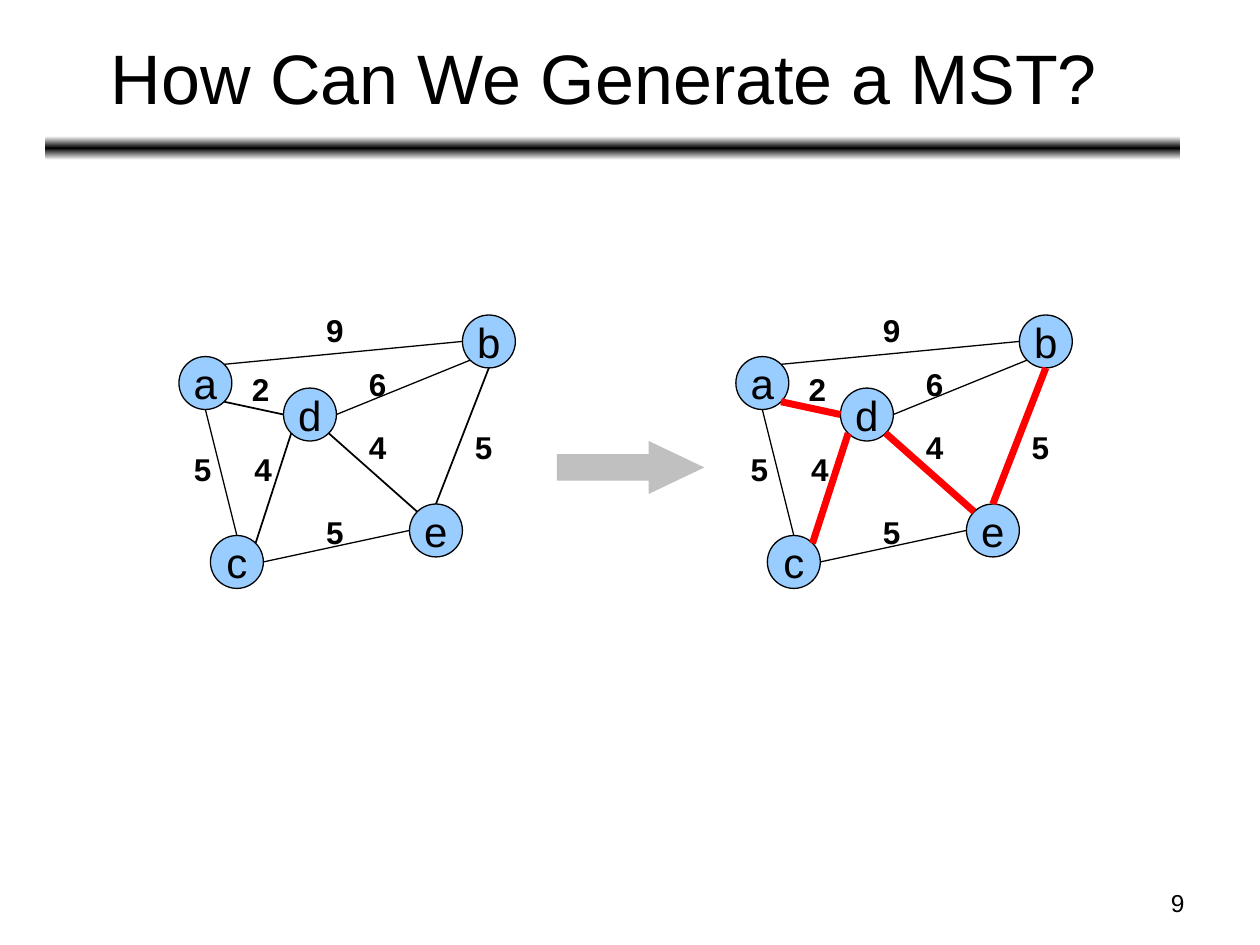
import copy
import math

import pptx
import pptx.dml.color
import pptx.enum.shapes
import pptx.enum.text
import pptx.oxml.ns
import pptx.util
from lxml import etree

Inches = pptx.util.Inches
Pt = pptx.util.Pt
RGBColor = pptx.dml.color.RGBColor
SHAPE = pptx.enum.shapes.MSO_SHAPE
STRAIGHT = pptx.enum.shapes.MSO_CONNECTOR.STRAIGHT
ALIGN = pptx.enum.text.PP_ALIGN
ANCHOR = pptx.enum.text.MSO_ANCHOR
AUTO_SIZE = pptx.enum.text.MSO_AUTO_SIZE

BLACK = RGBColor(0x00, 0x00, 0x00)
WHITE = RGBColor(0xFF, 0xFF, 0xFF)
RED = RGBColor(0xFF, 0x00, 0x00)
NODE_BLUE = RGBColor(0x99, 0xCC, 0xFF)
ARROW_GRAY = RGBColor(0xC0, 0xC0, 0xC0)

# Content: positions belong to the left graph
TITLE = "How Can We Generate a MST? "
PAGE_NUMBER = "9"
NODE_SIZE = 0.42
NODES = {  # name: left, top
    "a": (1.42, 2.83),
    "c": (1.67, 4.25),
    "e": (3.25, 4.0),
    "d": (2.25, 3.08),
    "b": (3.67, 2.5),
}
EDGES = [  # node, side, node, side, in the spanning tree
    ("a", "NE", "b", "W", False),
    ("d", "E", "b", "SW", False),
    ("a", "S", "c", "N", False),
    ("a", "SE", "d", "W", True),
    ("c", "NE", "d", "SW", True),
    ("d", "SE", "e", "NW", True),
    ("b", "S", "e", "N", True),
    ("e", "W", "c", "E", False),
]
WEIGHTS = [  # weight, left, top
    ("2", 1.9, 2.89),
    ("4", 1.92, 3.52),
    ("5", 1.44, 3.52),
    ("9", 2.49, 2.42),
    ("6", 2.83, 2.85),
    ("4", 2.83, 3.35),
    ("5", 2.49, 4.02),
    ("5", 3.67, 3.35),
]
GRAPHS = [(0, BLACK, 1), (4.42, RED, 4)]  # shift, tree colour, tree line width
SIDES = ["E", "SE", "S", "SW", "W", "NW", "N", "NE"]  # clockwise, 45 degrees apart


def write(sp, text, size, align=ALIGN.LEFT, anchor=ANCHOR.TOP, bold=False, wrap=False):
    tf = sp.text_frame
    tf.word_wrap = wrap
    tf.vertical_anchor = anchor
    p = tf.paragraphs[0]
    p.text = text
    p.alignment = align
    p.font.name = "Arial"
    p.font.size = Pt(size)
    p.font.bold = bold
    p.font.color.rgb = BLACK


def add_text(shapes, box, text, size, **style):
    sp = shapes.add_textbox(*map(Inches, box))
    write(sp, text, size, **style)
    return sp


def add_shape(shapes, kind, box, color=None):
    sp = shapes.add_shape(kind, *map(Inches, box))
    sp.shadow.inherit = False
    sp.line.fill.background()
    if color is not None:
        sp.fill.solid()
        sp.fill.fore_color.rgb = color
    return sp


def rim_point(name, side, shift):
    """Point on the rim of a node, in inches."""
    left, top = NODES[name]
    angle = math.radians(45 * SIDES.index(side))
    r = NODE_SIZE / 2
    return left + shift + r + r * math.cos(angle), top + r + r * math.sin(angle)


def add_graph(slide, shift, tree_color, tree_width):
    shapes = slide.shapes.add_group_shape().shapes
    for name, (left, top) in NODES.items():
        sp = add_shape(shapes, SHAPE.OVAL, (left + shift, top, NODE_SIZE, NODE_SIZE), NODE_BLUE)
        sp.line.color.rgb = BLACK
        sp.line.width = Pt(0.75)
        write(sp, name, 24, align=ALIGN.CENTER, anchor=ANCHOR.MIDDLE)
    for start, start_side, end, end_side, in_tree in EDGES:
        points = rim_point(start, start_side, shift) + rim_point(end, end_side, shift)
        edge = shapes.add_connector(STRAIGHT, *map(Inches, points))
        edge.line.color.rgb = tree_color if in_tree else BLACK
        edge.line.width = Pt(tree_width if in_tree else 0.75)
        etree.SubElement(edge._element.spPr, pptx.oxml.ns.qn("a:effectLst"))
    for weight, left, top in WEIGHTS:
        sp = add_text(shapes, (left + shift, top, 0.34, 0.4), weight, 18, bold=True)
        sp.text_frame.auto_size = AUTO_SIZE.SHAPE_TO_FIT_TEXT


prs = pptx.Presentation()
prs.slide_width, prs.slide_height = Inches(10), Inches(7.5)
slide = prs.slides.add_slide(prs.slide_layouts[6])

# Rule under the title, fading from black to white at both edges
rule = add_shape(slide.shapes, SHAPE.ROUNDED_RECTANGLE, (0.36, 1.08, 9.01, 0.19))
rule.fill.gradient()
rule.fill.gradient_angle = 90
stop_list = rule._element.spPr.find(".//" + pptx.oxml.ns.qn("a:gsLst"))
stop_list.append(copy.deepcopy(stop_list[-1]))
for stop, position, color in zip(rule.fill.gradient_stops, (0, 0.5, 1), (WHITE, BLACK, WHITE)):
    stop.position = position
    stop.color.rgb = color

# Page number and title
add_text(slide.shapes, (7.17, 7, 2.33, 0.35), PAGE_NUMBER, 14, align=ALIGN.RIGHT, wrap=True)
add_text(slide.shapes, (0.37, 0.11, 9, 0.99), TITLE, 40,
         align=ALIGN.CENTER, anchor=ANCHOR.MIDDLE, wrap=True)

# Graph and its minimum spanning tree, with the arrow between them
for graph in GRAPHS:
    add_graph(slide, *graph)
arrow = add_shape(slide.shapes, SHAPE.RIGHT_ARROW, (4.42, 3.5, 1.17, 0.42), ARROW_GRAY)
arrow.adjustments[0] = 0.5
arrow.adjustments[1] = 1.05

prs.save("out.pptx")
